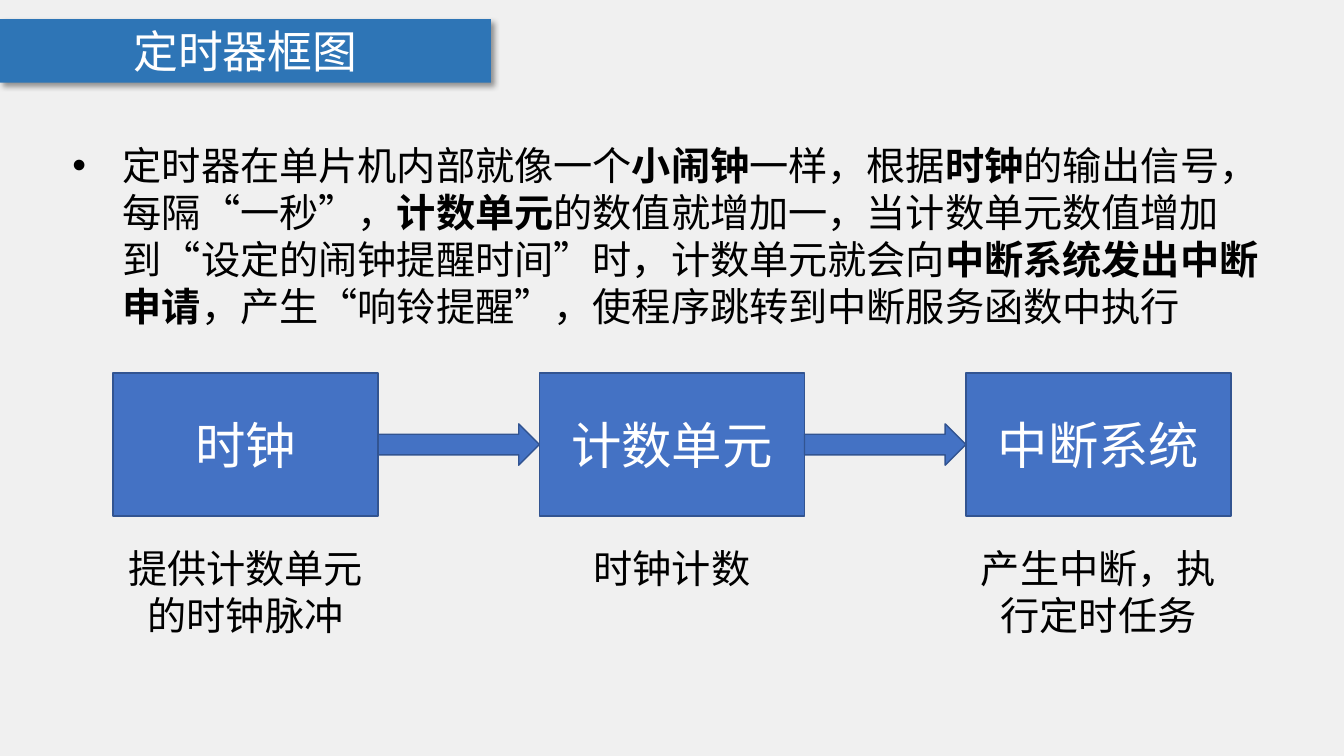
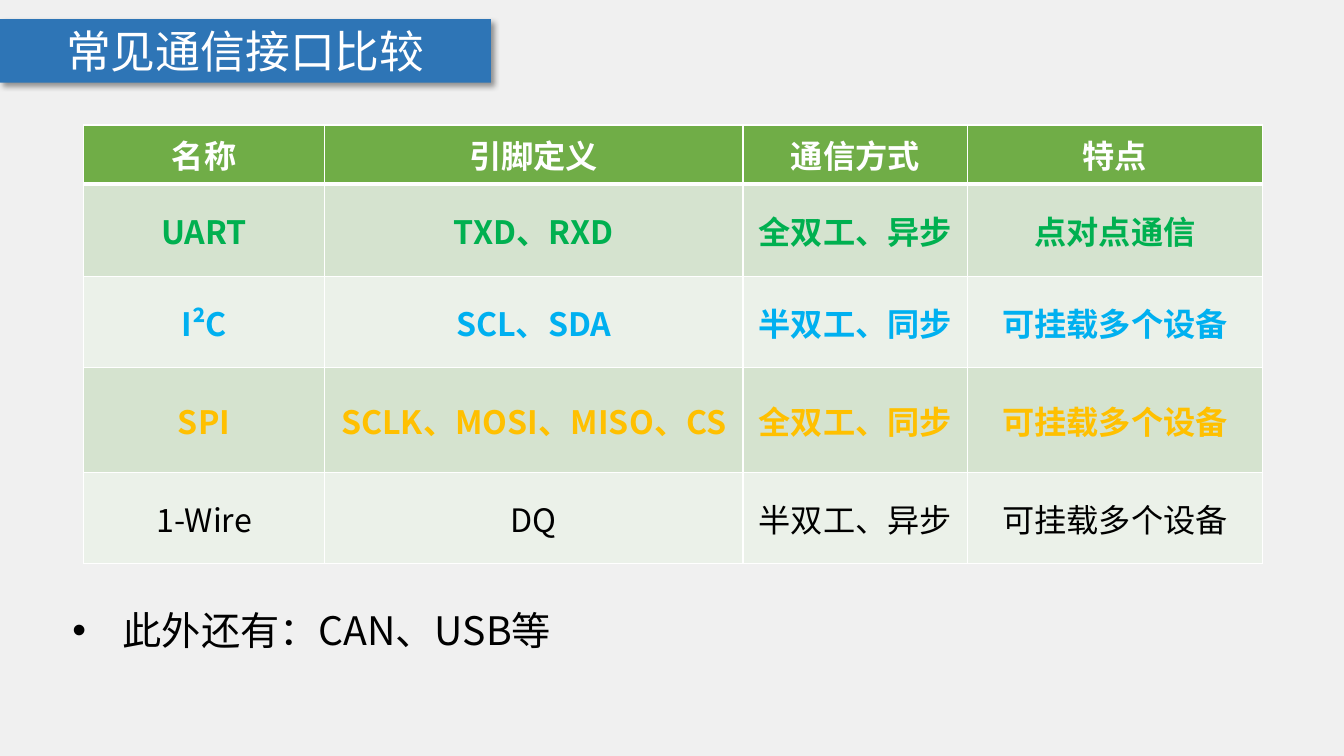
from lxml import etree
from pptx import Presentation, util as u
from pptx.dml.color import RGBColor
from pptx.enum import shapes, text
from pptx.oxml import parse_xml
from pptx.oxml.ns import nsdecls, qn

FONT = "Noto Sans CJK SC"
PAPER, BAND, WHITE, BLACK = "F0F0F0", "2E75B6", "FFFFFF", "000000"
BLOCK, BLOCK_LINE = "4472C4", "325491"
HEADER, ROW_FILLS = "70AD47", ("D5E3CF", "EBF1E9")
SLIDE_W, SLIDE_H = 13.33, 7.5
BODY_LEFT, BODY_W = 0.62, 12.08
CENTER = text.PP_ALIGN.CENTER
MIDDLE = text.MSO_ANCHOR.MIDDLE


def rgb(color):
    return RGBColor.from_string(color)


def paint(shape, fill, line=None):
    shape.fill.solid()
    shape.fill.fore_color.rgb = rgb(fill)
    if line:
        shape.line.color.rgb = rgb(line)
        shape.line.width = u.Pt(1)
    else:
        shape.line.fill.background()


def place(shape, left, top, width, height):
    shape.left, shape.top = u.Inches(left), u.Inches(top)
    shape.width, shape.height = u.Inches(width), u.Inches(height)


def style_run(r, size, color, bold=False):
    r.font.size = u.Pt(size)
    r.font.bold = bold
    r.font.color.rgb = rgb(color)
    r.font.name = FONT
    etree.SubElement(r.font._element, qn("a:ea"), typeface=FONT)


def write(tf, words, size, color, bold=False):
    tf.text = words
    p = tf.paragraphs[0]
    p.alignment = CENTER
    style_run(p.runs[0], size, color, bold)


def add_box(s, left, top, width, height):
    sp = s.shapes.add_textbox(*map(u.Inches, (left, top, width, height)))
    sp.text_frame.word_wrap = True
    sp.text_frame.auto_size = text.MSO_AUTO_SIZE.SHAPE_TO_FIT_TEXT
    return sp.text_frame


def add_bullet(s, top, height, parts):
    p = add_box(s, BODY_LEFT, top, BODY_W, height).paragraphs[0]
    pPr = p._p.get_or_add_pPr()
    pPr.set("marL", str(u.Inches(0.5)))
    pPr.set("indent", str(u.Inches(-0.5)))
    etree.SubElement(pPr, qn("a:buFont"), typeface="Arial")
    etree.SubElement(pPr, qn("a:buChar"), char="•")
    for i, part in enumerate(parts):
        r = p.add_run()
        r.text = part
        style_run(r, 28, BLACK, i % 2 == 1)


def add_slide(prs, heading):
    s = prs.slides.add_slide(prs.slide_layouts[5])
    title = s.shapes.title
    place(title, 0, 0.19, 4.87, 0.63)
    paint(title, BAND)
    title._element.spPr.append(parse_xml(
        f'<a:effectLst {nsdecls("a")}><a:outerShdw blurRad="50800" dist="38100" '
        'dir="2700000" algn="tl" rotWithShape="0"><a:srgbClr val="000000">'
        '<a:alpha val="40000"/></a:srgbClr></a:outerShdw></a:effectLst>'))
    tf = title.text_frame
    write(tf, heading, 32, WHITE)
    tf.auto_size = text.MSO_AUTO_SIZE.NONE
    tf.vertical_anchor = MIDDLE
    return s


def add_block(s, kind, left, top, width, height):
    sp = s.shapes.add_shape(kind, *map(u.Inches, (left, top, width, height)))
    sp.shadow.inherit = False
    paint(sp, BLOCK, BLOCK_LINE)
    return sp


def add_flow(s, left, top, width, height, steps):
    block_w, arrow_h, caption_w = 2.63, 0.41, 2.76
    gap = (width - block_w * len(steps)) / (len(steps) - 1)
    for i, (name, caption) in enumerate(steps):
        x = left + i * (block_w + gap)
        sp = add_block(s, shapes.MSO_SHAPE.RECTANGLE, x, top, block_w, height)
        sp.text_frame.vertical_anchor = MIDDLE
        write(sp.text_frame, name, 36, WHITE)
        if i:
            add_block(s, shapes.MSO_SHAPE.RIGHT_ARROW, x - gap,
                      top + (height - arrow_h) / 2, gap, arrow_h)
        tf = add_box(s, x + (block_w - caption_w) / 2, top + height + 0.23,
                     caption_w, 1.04)
        write(tf, caption, 28, BLACK)


def set_borders(cell, top, bottom):
    tcPr = cell._tc.get_or_add_tcPr()
    for side, width in (("L", 1), ("R", 1), ("T", top), ("B", bottom)):
        ln = etree.SubElement(tcPr, qn("a:ln" + side), w=str(u.Pt(width)))
        fill = etree.SubElement(ln, qn("a:solidFill"))
        etree.SubElement(fill, qn("a:srgbClr"), val=WHITE)


def add_comparison(s, left, top, col_widths, row_heights, rows):
    frame = s.shapes.add_table(
        len(rows), len(col_widths), u.Inches(left), u.Inches(top),
        u.Inches(sum(col_widths)), u.Inches(sum(row_heights)))
    table = frame.table
    for col, width in zip(table.columns, col_widths):
        col.width = u.Inches(width)
    for i, (color, bold, words) in enumerate(rows):
        table.rows[i].height = u.Inches(row_heights[i])
        for j, word in enumerate(words):
            cell = table.cell(i, j)
            cell.margin_left = cell.margin_right = u.Inches(0.13)
            cell.margin_top = cell.margin_bottom = u.Inches(0.06)
            cell.vertical_anchor = MIDDLE
            set_borders(cell, 3 if i == 1 else 1, 3 if i == 0 else 1)
            cell.fill.solid()
            cell.fill.fore_color.rgb = rgb(ROW_FILLS[(i - 1) % 2] if i else HEADER)
            write(cell.text_frame, word, 23, color, bold)


def timer_slide(prs):
    s = add_slide(prs, "定时器框图")
    add_bullet(s, 1.35, 1.99, [
        "定时器在单片机内部就像一个", "小闹钟", "一样，根据", "时钟",
        "的输出信号，每隔“一秒”，", "计数单元",
        "的数值就增加一，当计数单元数值增加到“设定的闹钟提醒时间”时，计数单元就会向",
        "中断系统发出中断申请",
        "，产生“响铃提醒”，使程序跳转到中断服务函数中执行"])
    add_flow(s, 1.12, 3.7, 11.09, 1.42, [
        ("时钟", "提供计数单元的时钟脉冲"),
        ("计数单元", "时钟计数"),
        ("中断系统", "产生中断，执行定时任务")])


def interface_slide(prs):
    s = add_slide(prs, "常见通信接口比较")
    add_comparison(s, 0.83, 1.24, (2.39, 4.15, 2.23, 2.92),
                   (0.52, 0.92, 0.9, 0.9, 0.9), [
        (WHITE, True, ("名称", "引脚定义", "通信方式", "特点")),
        ("00B050", True, ("UART", "TXD、RXD", "全双工、异步", "点对点通信")),
        ("00B0F0", True, ("I²C", "SCL、SDA", "半双工、同步", "可挂载多个设备")),
        ("FFC000", True, ("SPI", "SCLK、MOSI、MISO、CS", "全双工、同步", "可挂载多个设备")),
        (BLACK, False, ("1-Wire", "DQ", "半双工、异步", "可挂载多个设备"))])
    add_bullet(s, 5.97, 0.57, ["此外还有：CAN、USB等"])


def main():
    prs = Presentation()
    prs.slide_width, prs.slide_height = u.Inches(SLIDE_W), u.Inches(SLIDE_H)
    fill = prs.slide_master.background.fill
    fill.solid()
    fill.fore_color.rgb = rgb(PAPER)
    timer_slide(prs)
    interface_slide(prs)
    prs.save("out.pptx")


if __name__ == "__main__":
    main()
